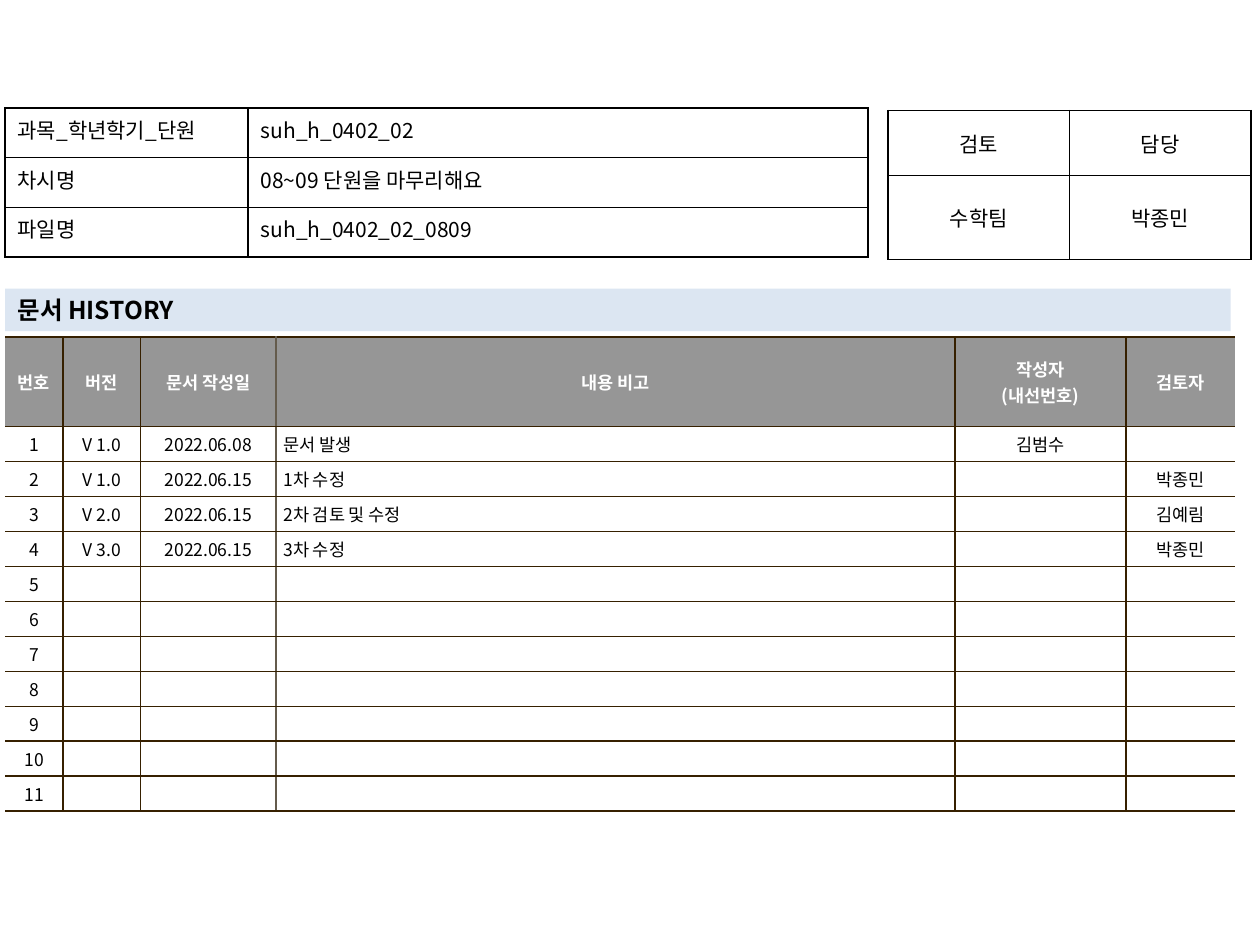
from lxml.etree import SubElement
from pptx import Presentation
from pptx.dml.color import RGBColor
from pptx.enum.shapes import MSO_SHAPE
from pptx.enum.text import MSO_ANCHOR, MSO_AUTO_SIZE, PP_ALIGN
from pptx.oxml.ns import qn
from pptx.util import Pt

FONT = "Noto Sans CJK KR"
BLACK = RGBColor(0x00, 0x00, 0x00)
WHITE = RGBColor(0xFF, 0xFF, 0xFF)
GRAY = RGBColor(0x96, 0x96, 0x96)
PALE_BLUE = RGBColor(0xDC, 0xE6, 0xF2)
BROWN = RGBColor(0x36, 0x20, 0x00)
TAUPE = RGBColor(0x64, 0x5B, 0x4C)

LEFT = 2.9
INFO_ROWS = [
    ("과목_학년학기_단원 ", "suh_h_0402_02"),
    ("차시명", "08~09 단원을 마무리해요"),
    ("파일명", "suh_h_0402_02_0809"),
]
APPROVAL_ROWS = [("검토", "담당"), ("수학팀", "박종민")]
HISTORY_HEADER = ("번호", "버전", "문서 작성일", "내용 비고", "작성자\n(내선번호)", "검토자")
HISTORY_ENTRIES = [
    ("V 1.0", "2022.06.08", "문서 발생", "김범수", ""),
    ("V 1.0", "2022.06.15", "1차 수정", "", "박종민"),
    ("V 2.0", "2022.06.15", "2차 검토 및 수정", "", "김예림"),
    ("V 3.0", "2022.06.15", "3차 수정", "", "박종민"),
]
HISTORY_COUNT = 11
DATE_COLUMN, NOTE_COLUMN, REVIEWER_COLUMN = 2, 3, 5


def add_run(paragraph, text, size, color=BLACK, bold=False):
    run = paragraph.add_run()
    run.text = text
    font = run.font
    font.name, font.size, font.bold = FONT, Pt(size), bold
    font.color.rgb = color
    SubElement(font._element, qn("a:ea"), typeface=FONT)


def set_indent(paragraph, indent):
    """Hang the first line back by the same distance as the left margin."""
    properties = paragraph._p.get_or_add_pPr()
    properties.set("marL", str(Pt(indent)))
    properties.set("indent", str(-Pt(indent)))


def set_borders(cell, left, right, top, bottom):
    """Draw each side 1 pt wide in its colour; None leaves the side open."""
    properties = cell._tc.get_or_add_tcPr()
    sides = {"a:lnL": left, "a:lnR": right, "a:lnT": top, "a:lnB": bottom}
    for tag, color in sides.items():
        line = SubElement(properties, qn(tag), w=str(Pt(1)))
        if color is None:
            SubElement(line, qn("a:noFill"))
        else:
            fill = SubElement(line, qn("a:solidFill"))
            SubElement(fill, qn("a:srgbClr"), val=str(color))


def fill_cell(cell, text, size, align, color=BLACK, bold=False, indent=0):
    frame = cell.text_frame
    for index, line in enumerate(text.split("\n")):
        paragraph = frame.add_paragraph() if index else frame.paragraphs[0]
        paragraph.alignment = align
        if indent:
            set_indent(paragraph, indent)
        if line:
            add_run(paragraph, line, size, color, bold)
        else:
            # An empty cell needs its own text size to keep the row low
            SubElement(paragraph._p, qn("a:endParaRPr"), sz=str(size * 100))


def add_table(slide, left, top, widths, heights):
    shape = slide.shapes.add_table(
        len(heights), len(widths), Pt(left), Pt(top), Pt(sum(widths)), Pt(sum(heights))
    )
    table = shape.table
    table.first_row = table.horz_banding = False
    for column, width in zip(table.columns, widths):
        column.width = Pt(width)
    for row, height in zip(table.rows, heights):
        row.height = Pt(height)
    return table


def add_boxed_table(slide, left, top, widths, heights, rows, aligns, anchor):
    table = add_table(slide, left, top, widths, heights)
    for row_index, texts in enumerate(rows):
        for column_index, (text, align) in enumerate(zip(texts, aligns)):
            cell = table.cell(row_index, column_index)
            cell.vertical_anchor = anchor
            set_borders(cell, BLACK, BLACK, BLACK, BLACK)
            cell.fill.background()
            fill_cell(cell, text, 12, align)


def add_history_table(slide):
    widths = [33.1, 44.3, 77.4, 388, 97.7, 62.5]
    table = add_table(slide, LEFT, 192.7, widths, [51] + [18] * HISTORY_COUNT)
    blank_entries = [("",) * 5] * (HISTORY_COUNT - len(HISTORY_ENTRIES))
    entries = enumerate(HISTORY_ENTRIES + blank_entries, start=1)
    rows = [HISTORY_HEADER] + [(str(number), *entry) for number, entry in entries]
    dividers = [None] + [BROWN] * (len(widths) - 1) + [None]
    dividers[NOTE_COLUMN] = TAUPE
    indents = {NOTE_COLUMN: 13.5, REVIEWER_COLUMN: 6.5}

    for row_index, texts in enumerate(rows):
        is_header = row_index == 0
        for column_index, text in enumerate(texts):
            cell = table.cell(row_index, column_index)
            cell.vertical_anchor = MSO_ANCHOR.MIDDLE
            cell.margin_left = cell.margin_right = Pt(4.3)
            cell.margin_top = cell.margin_bottom = Pt(2.8)
            set_borders(cell, dividers[column_index], dividers[column_index + 1], BROWN, BROWN)
            cell.fill.solid()
            cell.fill.fore_color.rgb = GRAY if is_header else WHITE
            if is_header:
                fill_cell(cell, text, 10, PP_ALIGN.CENTER, WHITE, bold=True)
            else:
                is_note = column_index == NOTE_COLUMN
                align = PP_ALIGN.LEFT if is_note else PP_ALIGN.CENTER
                indent = indents.get(column_index, 0) if text else 0
                fill_cell(cell, text, 10, align, indent=indent)


def add_heading(slide, text):
    shape = slide.shapes.add_shape(
        MSO_SHAPE.RECTANGLE, Pt(LEFT), Pt(165), Pt(700.3), Pt(24.2)
    )
    shape.shadow.inherit = False
    shape.fill.solid()
    shape.fill.fore_color.rgb = PALE_BLUE
    shape.line.fill.background()
    frame = shape.text_frame
    frame.word_wrap = True
    frame.auto_size = MSO_AUTO_SIZE.SHAPE_TO_FIT_TEXT
    frame.vertical_anchor = MSO_ANCHOR.TOP
    paragraph = frame.paragraphs[0]
    paragraph.alignment = PP_ALIGN.LEFT
    add_run(paragraph, text, 14, bold=True)


def main():
    presentation = Presentation()
    presentation.slide_width, presentation.slide_height = Pt(720), Pt(540)
    slide = presentation.slides.add_slide(presentation.slide_layouts[6])
    add_history_table(slide)
    add_boxed_table(
        slide, 507.5, 63.2, [103.7] * 2, [37, 48], APPROVAL_ROWS,
        [PP_ALIGN.CENTER] * 2, MSO_ANCHOR.MIDDLE,
    )
    add_heading(slide, "문서 HISTORY")
    add_boxed_table(
        slide, LEFT, 61.7, [138.9, 354.3], [28.4] * 3, INFO_ROWS,
        [PP_ALIGN.JUSTIFY, PP_ALIGN.LEFT], MSO_ANCHOR.TOP,
    )
    presentation.save("out.pptx")


if __name__ == "__main__":
    main()
